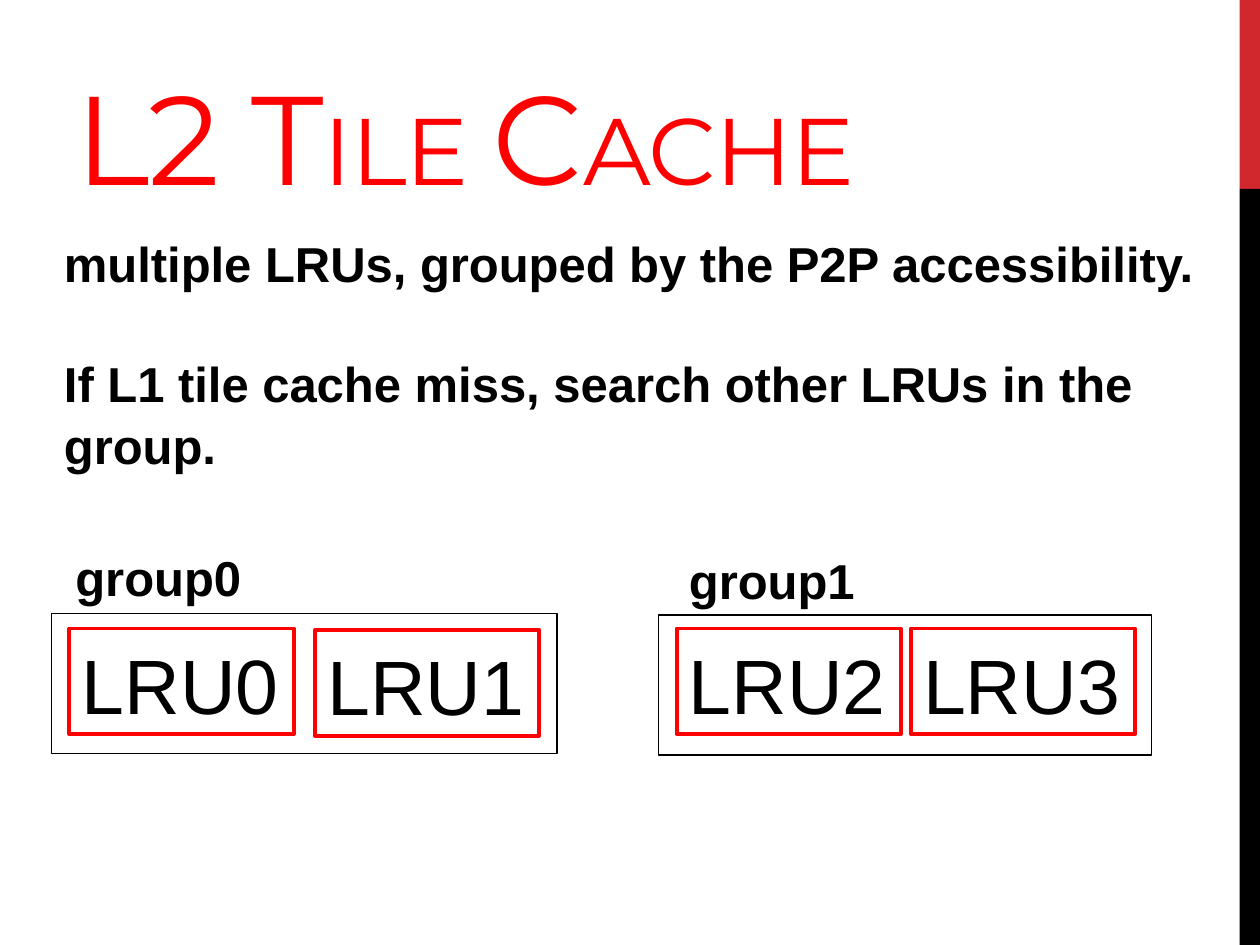
from pptx import Presentation
from pptx.dml.color import RGBColor
from pptx.enum.shapes import MSO_SHAPE as Shape
from pptx.enum.text import MSO_ANCHOR as Anchor, PP_ALIGN as Align
from pptx.util import Cm, Pt

RED = "FF0000"
BLACK = "000000"
LINE_SPACING = 1.05
BOX_WIDTH, BOX_HEIGHT = 4.52, 2.13


def color(value):
    """Turn a hex string into a colour."""
    return RGBColor.from_string(value)


def add_run(paragraph, text, size, font_name="Arial", fill=BLACK, bold=False):
    """Append one formatted run to a paragraph."""
    run = paragraph.add_run()
    run.text = text
    run.font.name = font_name
    run.font.size = Pt(size)
    run.font.bold = bold
    run.font.color.rgb = color(fill)
    return run


def add_title(slide):
    """Fill the title placeholder with large and small capitals."""
    title = slide.shapes.title
    title.left, title.top = Cm(1.27), Cm(0.43)
    title.width, title.height = Cm(19.08), Cm(3.81)
    frame = title.text_frame
    frame.vertical_anchor = Anchor.BOTTOM
    frame.margin_bottom = 0
    paragraph = frame.paragraphs[0]
    paragraph.alignment = Align.LEFT
    for text, size in (("L2 T", 72), ("ILE ", 54), ("C", 72), ("ACHE", 54)):
        run = add_run(paragraph, text, size, "Montserrat", RED)
        run.font._element.set("spc", "-60")


def add_text(slide, left, top, width, height, lines):
    """Add a bold text box from pairs of text and space before."""
    box = slide.shapes.add_textbox(Cm(left), Cm(top), Cm(width), Cm(height))
    frame = box.text_frame
    frame.word_wrap = False
    for index, (text, space_before) in enumerate(lines):
        paragraph = frame.add_paragraph() if index else frame.paragraphs[0]
        paragraph.line_spacing = LINE_SPACING
        paragraph.space_before = Pt(space_before)
        add_run(paragraph, text, 28, bold=True)


def add_rectangle(shapes, left, top, width, height, fill=None, line=None, weight=0.75):
    """Add a rectangle with an optional fill and outline."""
    shape = shapes.add_shape(Shape.RECTANGLE, Cm(left), Cm(top), Cm(width), Cm(height))
    shape.shadow.inherit = False
    if fill:
        shape.fill.solid()
        shape.fill.fore_color.rgb = color(fill)
    else:
        shape.fill.background()
    if line:
        shape.line.color.rgb = color(line)
        shape.line.width = Pt(weight)
    else:
        shape.line.fill.background()
    return shape


def add_cache(shapes, left, top, text):
    """Add one red LRU box with its name."""
    shape = add_rectangle(shapes, left, top, BOX_WIDTH, BOX_HEIGHT, line=RED, weight=2.25)
    frame = shape.text_frame
    frame.word_wrap = False
    paragraph = frame.paragraphs[0]
    paragraph.alignment = Align.LEFT
    paragraph.line_spacing = LINE_SPACING
    add_run(paragraph, text, 44)


def add_cache_group(shapes, caches, frame_box):
    """Add the LRU boxes and the thin frame around them."""
    for left, top, text in caches:
        add_cache(shapes, left, top, text)
    add_rectangle(shapes, *frame_box, line=BLACK)


def main():
    """Build the slide and save it."""
    presentation = Presentation()
    presentation.slide_width, presentation.slide_height = Cm(25.4), Cm(19.05)
    slide = presentation.slides.add_slide(presentation.slide_layouts[5])
    add_rectangle(slide.shapes, 24.99, 0, 0.41, 3.81, fill="D1282E")
    add_rectangle(slide.shapes, 24.99, 3.81, 0.41, 15.24, fill=BLACK)
    add_title(slide)
    add_text(slide, 1.04, 4.52, 23.55, 6.25, [
        ("multiple LRUs, grouped by the P2P accessibility.", 0),
        ("If L1 tile cache miss, search other LRUs in the", 33.5),
        ("group.", 0),
    ])
    add_cache_group(
        slide.shapes,
        [(1.4, 12.67, "LRU0"), (6.35, 12.7, "LRU1")],
        (1.04, 12.37, 10.19, 2.82),
    )
    add_cache_group(
        slide.shapes.add_group_shape().shapes,
        [(13.64, 12.67, "LRU2"), (18.36, 12.67, "LRU3")],
        (13.28, 12.4, 9.93, 2.82),
    )
    for left, top, name in ((1.27, 10.85, "group0"), (13.64, 10.92, "group1")):
        add_text(slide, left, top, 3.89, 1.45, [(name, 0)])
    presentation.save("out.pptx")


if __name__ == "__main__":
    main()
